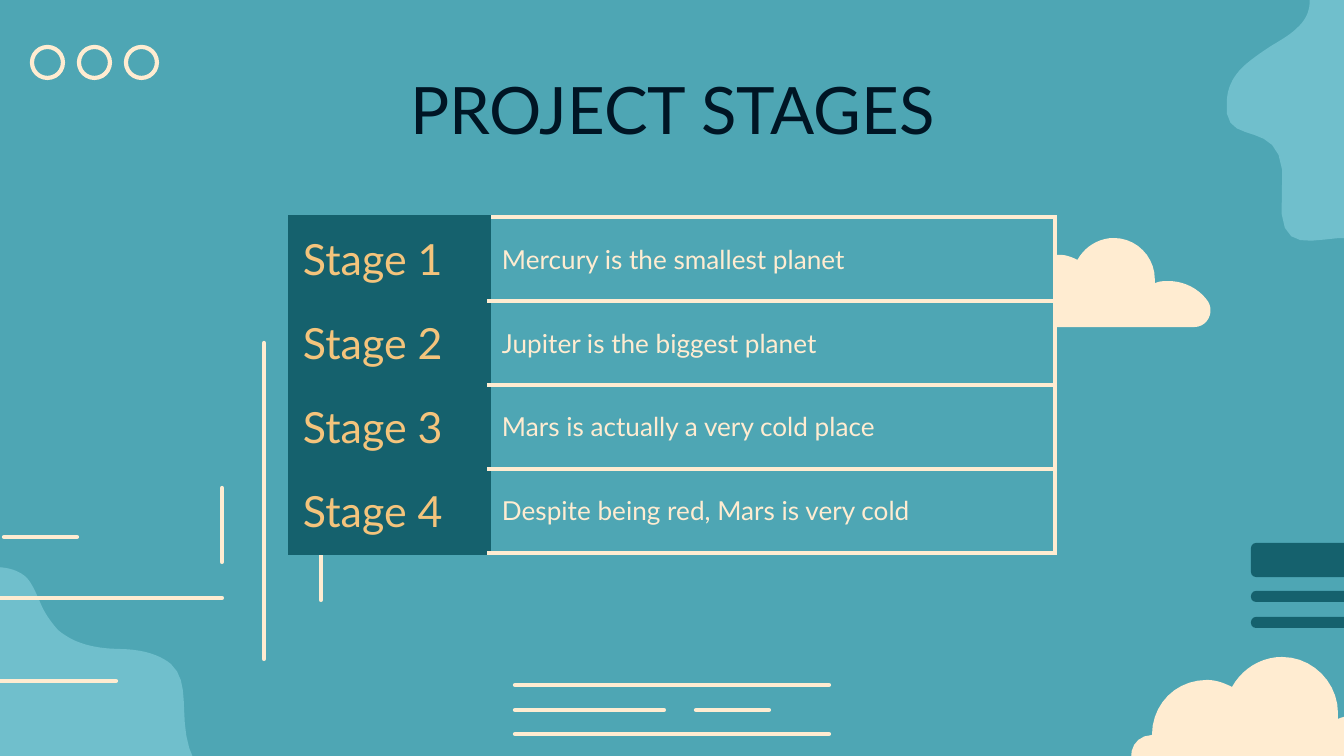
from lxml.etree import SubElement
from pptx import Presentation
from pptx.dml.color import RGBColor
from pptx.enum.shapes import MSO_CONNECTOR as Connector, MSO_SHAPE as Shape
from pptx.enum.text import MSO_ANCHOR as Anchor, PP_ALIGN as Align
from pptx.oxml import parse_xml
from pptx.oxml.ns import nsdecls, qn
from pptx.util import Pt

WIDTH, HEIGHT = 1344, 756
SCALE = 9144000 / WIDTH
INSET = 13
LINE_PT = 2.25
CURVE_STEPS = 10

COLORS = {
    "background": "4EA6B4",
    "blob": "70BFCC",
    "dark": "15616D",
    "cream": "FFECD1",
    "gold": "F4C47C",
    "ink": "001524",
}

STAGES = [
    ("Stage 1", "Mercury is the smallest planet"),
    ("Stage 2", "Jupiter is the biggest planet"),
    ("Stage 3", "Mars is actually a very cold place"),
    ("Stage 4", "Despite being red, Mars is very cold"),
]

# Outlines: a pair is a straight segment, six numbers are a Bézier curve.
LEFT_BLOB = [
    (171, 664),
    (196, 687, 171, 732, 202, 773), (243, 828, 122, 880, 138, 919),
    (144, 934, 140, 948, 130, 957), (114, 976, 94, 986, 77, 970),
    (-191, 724),
    (-202, 714, -192, 712, -190, 698), (-184, 672, -169, 634, -124, 649),
    (-55, 669, -78, 566, -7, 567), (9, 567, 19, 571, 26, 577),
    (32, 583, 36, 593, 40, 602), (44, 612, 50, 621, 58, 630),
    (70, 640, 86, 648, 117, 649), (145, 649, 161, 656, 171, 664),
]
RIGHT_BLOB = [
    (1322, -48),
    (1312, -38, 1305, -26, 1309, -7), (1312, 9, 1306, 20, 1297, 28),
    (1290, 35, 1281, 40, 1271, 46), (1262, 52, 1253, 58, 1245, 65),
    (1235, 74, 1228, 85, 1227, 99), (1219, 157, 1290, 106, 1282, 192),
    (1274, 278, 1336, 218, 1378, 246), (1398, 259, 1422, 241, 1445, 219),
    (1452, 212, 1459, 206, 1466, 199), (1481, 184, 1496, 173, 1508, 176),
    (1519, 179, 1531, 173, 1540, 165), (1558, 149, 1562, 126, 1550, 114),
    (1390, -60),
    (1382, -69, 1371, -71, 1357, -67), (1347, -63, 1332, -58, 1322, -48),
]
CLOUD = [
    (0, 0),
    (-21, 0, -40, 12, -50, 30), (-58, 26, -66, 23, -75, 23),
    (-106, 23, -130, 47, -130, 78), (-159, 79, -157, 122, -129, 122),
    (110, 122),
    (128, 122, 138, 102, 129, 87), (117, 70, 97, 59, 75, 59),
    (69, 59, 62, 59, 56, 62), (56, 59, 56, 58, 56, 56),
    (56, 26, 31, 0, 0, 0),
]

LEFT_LINES = [(222, 598, -93, 598), (116, 681, -35, 681), (77, 537, 4, 537)]
BOTTOM_LINES = [(829, 734, 515, 734), (664, 710, 515, 710),
                (769, 710, 696, 710), (829, 685, 515, 685)]
UPRIGHT_LINES = [(264, 343, 264, 659), (321, 450, 321, 600),
                 (222, 488, 222, 562)]


def px(*lengths):
    return [round(length * SCALE) for length in lengths]


def color(name):
    return RGBColor.from_string(COLORS[name])


def set_all(target, values):
    for name, value in values.items():
        setattr(target, name, value)


def paint(shape, fill=None, line=None):
    shape.shadow.inherit = False
    for part, name in ((shape.fill, fill), (shape.line.fill, line)):
        if name:
            part.solid()
            part.fore_color.rgb = color(name)
        else:
            part.background()
    if line:
        shape.line.width = Pt(LINE_PT)


def flatten(outline):
    """Turn straight and Bézier segments into a list of points."""
    points = [outline[0]]
    for segment in outline[1:]:
        if len(segment) == 2:
            points.append(segment)
            continue
        controls = [points[-1], segment[:2], segment[2:4], segment[4:]]
        for step in range(1, CURVE_STEPS + 1):
            t = step / CURVE_STEPS
            weights = ((1 - t) ** 3, 3 * t * (1 - t) ** 2,
                       3 * t ** 2 * (1 - t), t ** 3)
            points.append(tuple(
                sum(w * p[axis] for w, p in zip(weights, controls))
                for axis in (0, 1)))
    return points


def add_outline(page, outline, fill, origin=(0, 0), zoom=1):
    points = [px(origin[0] + x * zoom, origin[1] + y * zoom)
              for x, y in flatten(outline)]
    builder = page.shapes.build_freeform(*points[0])
    builder.add_line_segments(points[1:], close=True)
    paint(builder.convert_to_shape(), fill)


def add_lines(page, lines):
    for ends in lines:
        line = page.shapes.add_connector(Connector.STRAIGHT, *px(*ends))
        line.line.color.rgb = color("cream")
        line.line.width = Pt(LINE_PT)
        line.line._get_or_add_ln().set("cap", "rnd")
        SubElement(line._element.spPr, qn("a:effectLst"))


def add_bars(page):
    for top, height in ((543, 34), (591, 11), (617, 11)):
        bar = page.shapes.add_shape(Shape.ROUNDED_RECTANGLE,
                                    *px(1251, top, 170, height))
        bar.adjustments[0] = min(0.5, 5 / height)
        paint(bar, "dark")


def add_rings(page):
    for index in range(3):
        ring = page.shapes.add_shape(Shape.OVAL,
                                     *px(32 + 47 * index, 47, 31, 31))
        paint(ring, line="cream")


def write(frame, text, size, ink, align=Align.LEFT):
    para = frame.paragraphs[0]
    para.alignment = align
    span = para.add_run()
    span.text = text
    set_all(span.font, {"name": "Lato", "size": Pt(size), "bold": False})
    span.font.color.rgb = color(ink)


def set_margins(target):
    sides = ("left", "right", "top", "bottom")
    set_all(target, {f"margin_{side}": px(INSET)[0] for side in sides})
    target.vertical_anchor = Anchor.MIDDLE


def add_title(page):
    title = page.shapes.title
    box = px(106, 66, 1133, 84)
    set_all(title, dict(zip(("left", "top", "width", "height"), box)))
    set_margins(title.text_frame)
    write(title.text_frame, "PROJECT STAGES", 35, "ink", Align.CENTER)


def set_borders(cell, names):
    """Draw left, right, top and bottom borders in the named colours."""
    for index, (side, name) in enumerate(zip("LRTB", names)):
        border = parse_xml(
            f'<a:ln{side} {nsdecls("a")} w="{Pt(LINE_PT)}"><a:solidFill>'
            f'<a:srgbClr val="{COLORS[name]}"/></a:solidFill></a:ln{side}>')
        cell._tc.get_or_add_tcPr().insert(index, border)


def add_stage_table(page):
    widths, row_height = (199, 566), 84
    frame = page.shapes.add_table(
        len(STAGES), 2, *px(290, 217, sum(widths), row_height * len(STAGES)))
    table = frame.table
    set_all(table, {"first_row": False, "horz_banding": False})
    for column, width in zip(table.columns, px(*widths)):
        column.width = width
    formats = (
        (23, "gold", "dark", ["dark"] * 4),
        (14, "cream", "background", ["dark"] + ["cream"] * 3),
    )
    for row, texts in zip(table.rows, STAGES):
        row.height = px(row_height)[0]
        for cell, text, (size, ink, fill, borders) in zip(
                row.cells, texts, formats):
            set_margins(cell)
            write(cell.text_frame, text, size, ink)
            cell.fill.solid()
            cell.fill.fore_color.rgb = color(fill)
            set_borders(cell, borders)


def main():
    deck = Presentation()
    deck.slide_width, deck.slide_height = px(WIDTH, HEIGHT)
    page = deck.slides.add_slide(deck.slide_layouts[5])
    page.background.fill.solid()
    page.background.fill.fore_color.rgb = color("background")
    add_outline(page, LEFT_BLOB, "blob")
    add_outline(page, RIGHT_BLOB, "blob")
    add_bars(page)
    add_lines(page, LEFT_LINES)
    add_rings(page)
    add_outline(page, CLOUD, "cream", (1282, 657))
    add_lines(page, BOTTOM_LINES)
    add_title(page)
    add_lines(page, UPRIGHT_LINES)
    add_outline(page, CLOUD, "cream", (1114, 238), 0.73)
    add_stage_table(page)
    deck.save("out.pptx")


if __name__ == "__main__":
    main()
